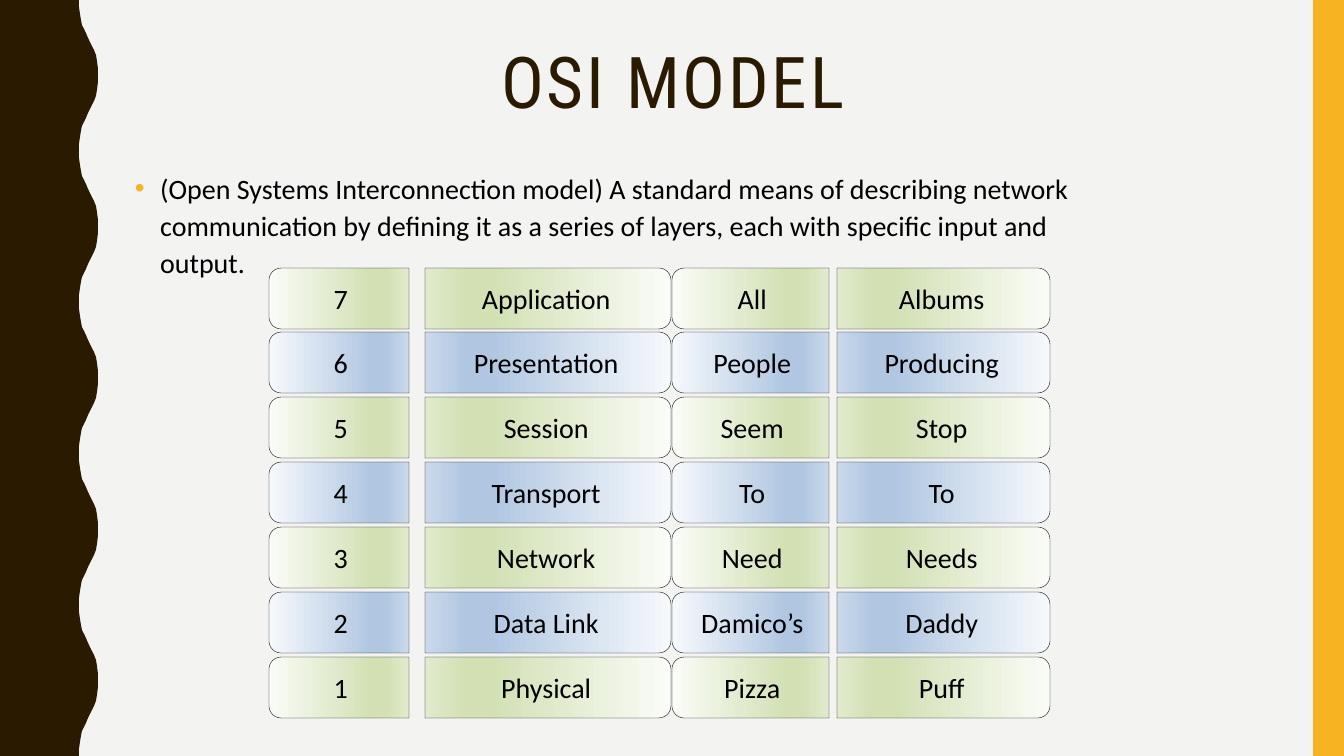
"""Build the OSI model slide with its layer names and two memory aids."""
from lxml.etree import SubElement as Sub
from pptx import Presentation
from pptx.dml.color import RGBColor
from pptx.enum.shapes import MSO_SHAPE as Kind
from pptx.enum.text import MSO_ANCHOR as Anchor, PP_ALIGN as Align
from pptx.oxml import parse_xml
from pptx.oxml.ns import nsdecls, qn
from pptx.util import Pt

PX = 914400 / 100.8
color = RGBColor.from_string


def px(*nums):
    return [round(n * PX) for n in nums]


def write(shape, text, size=20, font="Calibri", ink="000000",
          align=Align.CENTER, anchor=Anchor.TOP, space=None, track=0, bullet=None):
    frame = shape.text_frame
    frame.word_wrap = True
    frame.vertical_anchor = anchor
    para = frame.paragraphs[0]
    para.alignment = align
    if space:
        para.line_spacing = space
    if bullet:
        props = para._p.get_or_add_pPr()
        props.set("marL", "228600")
        props.set("indent", "-228600")
        Sub(Sub(props, qn("a:buClr")), qn("a:srgbClr")).set("val", bullet)
        Sub(props, qn("a:buFont")).set("typeface", "Arial")
        Sub(props, qn("a:buChar")).set("char", "•")
    run = para.add_run()
    run.text = text
    run.font.size = Pt(size)
    run.font.name = font
    run.font.color.rgb = color(ink)
    if track:
        run._r.get_or_add_rPr().set("spc", str(track * 100))


deck = Presentation()
deck.slide_width, deck.slide_height = px(1344, 756)
slide = deck.slides.add_slide(deck.slide_layouts[6])
slide.background.fill.solid()
slide.background.fill.fore_color.rgb = color("F3F3F2")
shapes = slide.shapes

half = [(79, 0), (79, 7), (80, 14), (81, 20), (82, 25), (84, 29), (86, 33), (88, 38),
        (90, 42), (92, 46), (94, 50), (96, 55), (97, 61), (98, 69), (98, 76)]
cycle = half + [(x, 151 - y) for x, y in half[-2::-1]]
edge = [(x, round(y + 151.2 * n)) for n in range(5) for x, y in cycle]
pen = shapes.build_freeform(0, 0, scale=PX)
pen.add_line_segments(edge + [(79, 756), (0, 756)], close=True)
wave = pen.convert_to_shape()
band = shapes.add_shape(Kind.RECTANGLE, *px(1313, 0, 31, 756))
for side, tint in ((wave, "2A1A00"), (band, "F8B323")):
    side.shadow.inherit = False
    side.fill.solid()
    side.fill.fore_color.rgb = color(tint)
    side.line.fill.background()

title = shapes.add_textbox(*px(67, 42, 1212, 164))
write(title, "OSI MODEL", size=51, font="Roboto Condensed", ink="2A1A00",
      space=0.9, track=2)
body = shapes.add_textbox(*px(125, 163, 1019, 84))
write(body, "(Open Systems Interconnection model) A standard means of describing "
      "network communication by defining it as a series of layers, each with "
      "specific input and output.", align=Align.LEFT, space=1.1, bullet="F8B323")

GREEN = ("FAFCF7", "D2E0B4", "D2E0B4", "E1EBCD")
BLUE = ("F6F9FC", "B0C6E1", "B0C6E1", "CAD9EB")
LEFT, RIGHT = (270, "vert"), (90, "vert270")
TOP, HIGH, SPAN = 268, 61, 389
layers = ["Application", "Presentation", "Session", "Transport", "Network",
          "Data Link", "Physical"]
albums = ["Albums", "Producing", "Stop", "To", "Needs", "Daddy", "Puff"]
people = ["All", "People", "Seem", "To", "Need", "Damico’s", "Pizza"]
blocks = [
    [(425, 246, RIGHT, layers), (269, 140, LEFT, list("7654321"))],
    [(837, 213, RIGHT, albums), (672, 157, LEFT, people)],
]

for block in blocks:
    group = shapes.add_group_shape()
    for row in range(7):
        for left, wide, (turn, flow), words in block:
            mid = left + wide / 2
            top = TOP + SPAN * row // 6 + (HIGH - wide) / 2
            cell = group.shapes.add_shape(
                Kind.ROUND_2_SAME_RECTANGLE, *px(mid - HIGH / 2, top, HIGH, wide))
            cell.rotation = turn
            cell.adjustments[0] = 0.2
            cell.adjustments[1] = 0
            cell.shadow.inherit = False
            stops = "".join(
                f'<a:gs pos="{pos}000"><a:srgbClr val="{tint}"/></a:gs>'
                for pos, tint in zip((0, 74, 83, 100), BLUE if row % 2 else GREEN))
            grad = parse_xml(
                f'<a:gradFill {nsdecls("a")} rotWithShape="1"><a:gsLst>{stops}</a:gsLst>'
                '<a:lin ang="5400000" scaled="0"/></a:gradFill>')
            cell._element.spPr.find(qn("a:prstGeom")).addnext(grad)
            cell.line.color.rgb = color("000000")
            cell.line.width = Pt(0.25)
            write(cell, words[row], anchor=Anchor.MIDDLE)
            cell.text_frame._txBody.bodyPr.set("vert", flow)

deck.save("out.pptx")
